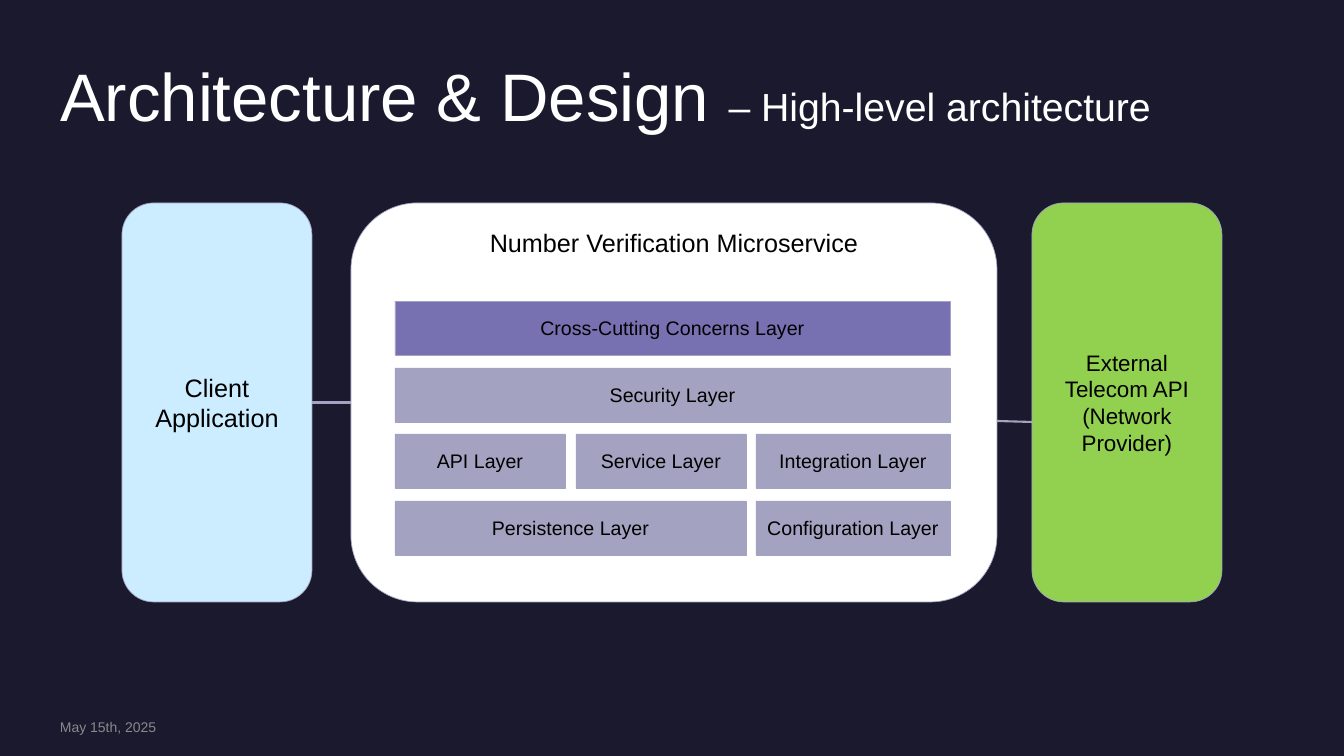
import dataclasses

import pptx
import pptx.dml.color
import pptx.enum.shapes
import pptx.enum.text
import pptx.oxml
import pptx.oxml.ns
import pptx.util

SLIDE_WIDTH, SLIDE_HEIGHT = 1344, 756
EMU_PER_PX = 12192000 / SLIDE_WIDTH
ANCHOR = pptx.enum.text.MSO_ANCHOR
ALIGN = pptx.enum.text.PP_ALIGN
SHAPE = pptx.enum.shapes.MSO_SHAPE


@dataclasses.dataclass(frozen=True)
class Theme:
    font: str = "Arial"
    background: str = "1B192E"
    light: str = "FFFFFF"
    dark: str = "000000"
    muted: str = "A6A6A6"
    outline: str = "A3A3C1"
    layer: str = "A3A3C1"
    cross_cutting: str = "7771B2"
    client: str = "CCECFF"
    external: str = "92D050"
    title: int = 48
    subtitle: int = 28
    heading: int = 18
    body: int = 16
    label: int = 14
    footer: int = 10
    outline_width: float = 0.5
    connector_width: float = 1.5


def px(length):
    return pptx.util.Emu(round(length * EMU_PER_PX))


def rgb(value):
    return pptx.dml.color.RGBColor.from_string(value)


def add_text(paragraph, text, *, font, size, color, alpha=None):
    run = paragraph.add_run()
    run.text = text
    run.font.name = font
    run.font.size = pptx.util.Pt(size)
    run.font.color.rgb = rgb(color)
    if alpha is not None:
        color_element = run.font.fill._xPr.find(".//" + pptx.oxml.ns.qn("a:srgbClr"))
        color_element.append(pptx.oxml.parse_xml(
            f'<a:alpha {pptx.oxml.ns.nsdecls("a")} val="{alpha * 1000}"/>'))


class Diagram:
    def __init__(self, presentation, theme):
        self.theme = theme
        self.slide = presentation.slides.add_slide(presentation.slide_layouts[6])
        self.slide.background.fill.solid()
        self.slide.background.fill.fore_color.rgb = rgb(theme.background)

    def text_line(self, left, top, width, height, runs, line_spacing=1.0):
        shape = self.slide.shapes.add_textbox(px(left), px(top), px(width), px(height))
        frame = shape.text_frame
        frame.word_wrap = True
        frame.vertical_anchor = ANCHOR.MIDDLE
        frame.margin_left = frame.margin_right = frame.margin_top = frame.margin_bottom = 0
        paragraph = frame.paragraphs[0]
        paragraph.line_spacing = line_spacing
        for text, style in runs:
            add_text(paragraph, text, font=self.theme.font, **style)

    def box(self, left, top, width, height, lines, fill, size,
            kind=SHAPE.RECTANGLE, anchor=ANCHOR.MIDDLE):
        shape = self.slide.shapes.add_shape(kind, px(left), px(top), px(width), px(height))
        shape.shadow.inherit = False
        shape.fill.solid()
        shape.fill.fore_color.rgb = rgb(fill)
        shape.line.color.rgb = rgb(self.theme.outline)
        shape.line.width = pptx.util.Pt(self.theme.outline_width)
        frame = shape.text_frame
        frame.word_wrap = True
        frame.vertical_anchor = anchor
        for index, line in enumerate(lines):
            paragraph = frame.add_paragraph() if index else frame.paragraphs[0]
            paragraph.alignment = ALIGN.CENTER
            add_text(paragraph, line, font=self.theme.font, size=size, color=self.theme.dark)
        return shape

    def connector(self, start, end):
        line = self.slide.shapes.add_connector(
            pptx.enum.shapes.MSO_CONNECTOR.STRAIGHT, *map(px, start + end))
        line.line.color.rgb = rgb(self.theme.outline)
        line.line.width = pptx.util.Pt(self.theme.connector_width)
        line._element.spPr.append(pptx.oxml.parse_xml(
            f'<a:effectLst {pptx.oxml.ns.nsdecls("a")}/>'))
        return line


def main():
    presentation = pptx.Presentation()
    presentation.slide_width = px(SLIDE_WIDTH)
    presentation.slide_height = px(SLIDE_HEIGHT)
    theme = Theme()
    diagram = Diagram(presentation, theme)

    # Title and date
    diagram.text_line(60, 60, 1224, 80, [
        ("Architecture & Design ", {"size": theme.title, "color": theme.light}),
        ("– High-level architecture", {"size": theme.subtitle, "color": theme.light}),
    ], line_spacing=0.9)
    diagram.text_line(60, 718, 290, 17, [
        ("May 15th, 2025", {"size": theme.footer, "color": theme.muted, "alpha": 80}),
    ])

    # The three systems
    top, height = 203, 399
    client = diagram.box(122, top, 190, height, ["Client Application"], theme.client,
                         theme.heading, SHAPE.ROUNDED_RECTANGLE)
    microservice = diagram.box(351, top, 646, height, ["Number Verification Microservice"],
                               theme.light, theme.heading, SHAPE.ROUNDED_RECTANGLE, ANCHOR.TOP)
    diagram.box(1032, top, 190, height, ["External Telecom API", "(Network Provider)"],
                theme.external, theme.body, SHAPE.ROUNDED_RECTANGLE)

    # Links between the systems
    client_link = diagram.connector((351, 403), (312, 403))
    client_link.begin_connect(microservice, 1)
    client_link.end_connect(client, 3)
    diagram.connector((1032, 422), (997, 421))

    # Layers of the microservice: row, first column, last column
    column_lefts, column_rights = (395, 576, 756), (565, 746, 950)
    first_row, row_pitch, row_height = 301, 200 / 3, 54
    layers = [
        ("Cross-Cutting Concerns Layer", 0, 0, 2, theme.cross_cutting),
        ("Security Layer", 1, 0, 2, theme.layer),
        ("API Layer", 2, 0, 0, theme.layer),
        ("Service Layer", 2, 1, 1, theme.layer),
        ("Integration Layer", 2, 2, 2, theme.layer),
        ("Persistence Layer", 3, 0, 1, theme.layer),
        ("Configuration Layer", 3, 2, 2, theme.layer),
    ]
    for name, row, first, last, fill in layers:
        left = column_lefts[first]
        diagram.box(left, round(first_row + row * row_pitch), column_rights[last] - left,
                    row_height, [name], fill, theme.label)

    presentation.save("out.pptx")


if __name__ == "__main__":
    main()
